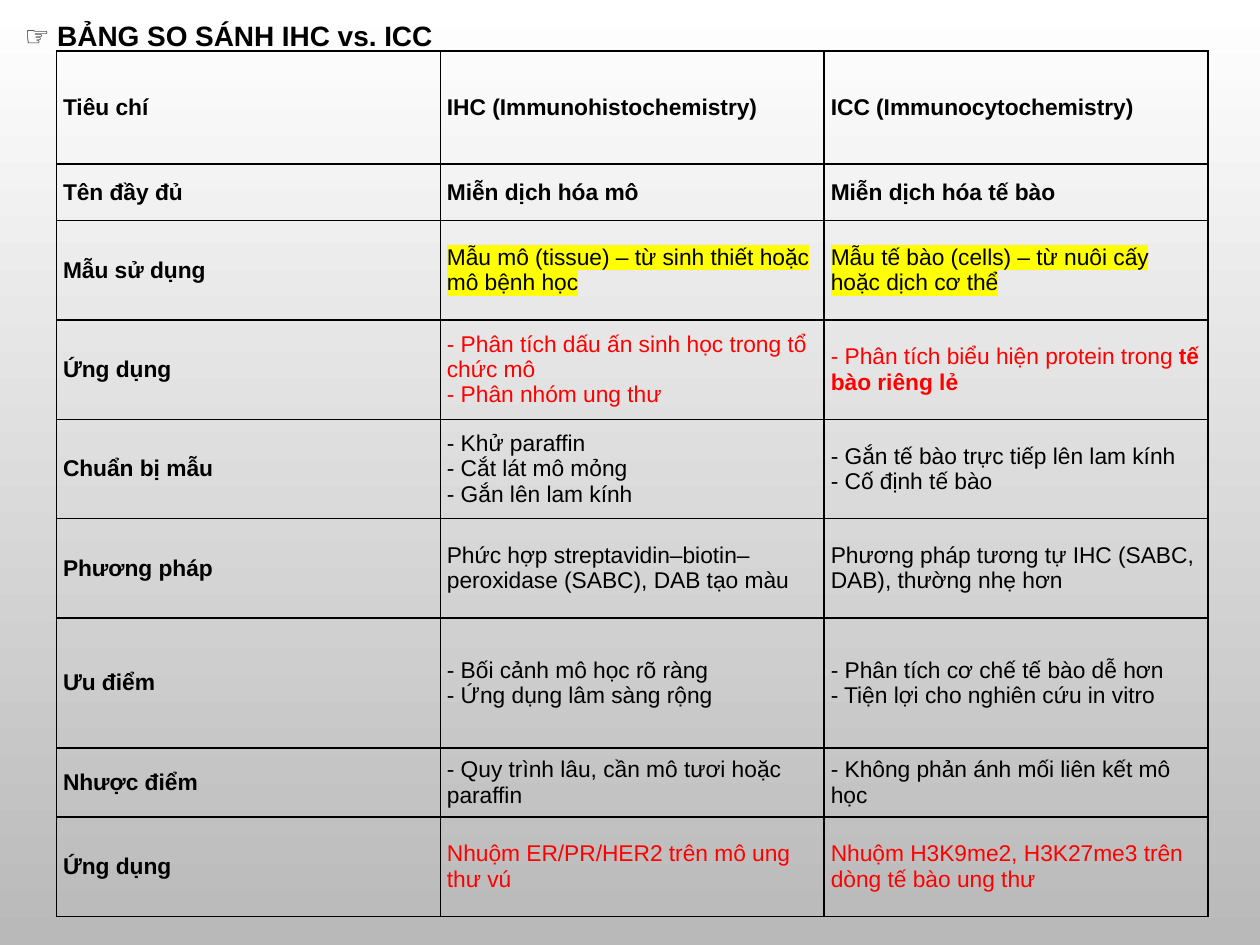
from lxml.etree import SubElement, Element
from pptx import Presentation
from pptx.dml.color import RGBColor as Rgb
from pptx.enum.text import MSO_ANCHOR as Anchor, PP_ALIGN as Align
from pptx.oxml.ns import qn
from pptx.util import Pt

HUES = {"ink": "000000", "red": "FF0000", "mark": "FFFF00",
        "top": "FFFFFF", "base": "B9B9B9"}
FORMS = {
    "page": {"slide_width": Pt(720), "slide_height": Pt(540)},
    "title": {"left": Pt(0), "top": Pt(7.2), "width": Pt(256), "height": Pt(44)},
    "frame": {"margin_left": Pt(14), "margin_right": Pt(0), "margin_top": Pt(3.6),
              "margin_bottom": Pt(3.6), "word_wrap": True,
              "vertical_anchor": Anchor.TOP},
    "cell": {"margin_left": Pt(3.8), "margin_right": Pt(3.8), "margin_top": Pt(2),
             "margin_bottom": Pt(2), "vertical_anchor": Anchor.MIDDLE},
    "grid": {"first_row": False, "horz_banding": False},
}
ROWS = [
    (64.6, "ink", False, ["**Tiêu chí", "**IHC (Immunohistochemistry)",
                          "**ICC (Immunocytochemistry)"]),
    (32.3, "ink", False, ["**Tên đầy đủ", "**Miễn dịch hóa mô",
                          "**Miễn dịch hóa tế bào"]),
    (56.8, "ink", True, ["**Mẫu sử dụng",
                         "Mẫu mô (tissue) – từ sinh thiết hoặc mô bệnh học",
                         "Mẫu tế bào (cells) – từ nuôi cấy hoặc dịch cơ thể"]),
    (56.8, "red", False, ["**Ứng dụng",
                          "- Phân tích dấu ấn sinh học trong tổ chức mô\n- Phân nhóm ung thư",
                          "- Phân tích biểu hiện protein trong **tế bào riêng lẻ"]),
    (56.8, "ink", False, ["**Chuẩn bị mẫu",
                          "- Khử paraffin\n- Cắt lát mô mỏng\n- Gắn lên lam kính",
                          "- Gắn tế bào trực tiếp lên lam kính\n- Cố định tế bào"]),
    (56.8, "ink", False, ["**Phương pháp",
                          "Phức hợp streptavidin–biotin–peroxidase (SABC), DAB tạo màu",
                          "Phương pháp tương tự IHC (SABC, DAB), thường nhẹ hơn"]),
    (74.2, "ink", False, ["**Ưu điểm",
                          "- Bối cảnh mô học rõ ràng\n- Ứng dụng lâm sàng rộng",
                          "- Phân tích cơ chế tế bào dễ hơn\n- Tiện lợi cho nghiên cứu in vitro"]),
    (39.5, "ink", False, ["**Nhược điểm", "- Quy trình lâu, cần mô tươi hoặc paraffin",
                          "- Không phản ánh mối liên kết mô học"]),
    (56.8, "red", False, ["**Ứng dụng", "Nhuộm ER/PR/HER2 trên mô ung thư vú",
                          "Nhuộm H3K9me2, H3K27me3 trên dòng tế bào ung thư"]),
]


def apply(item, form):
    for key, value in form.items():
        setattr(item, key, value)


class Deck:
    def __init__(self):
        self.show = Presentation()
        apply(self.show, FORMS["page"])
        self.slide = self.show.slides.add_slide(self.show.slide_layouts[5])

    def back(self):
        fill = self.slide.background.fill
        fill.gradient()
        fill.gradient_angle = 270
        for stop, spot, hue in zip(fill.gradient_stops, (0, 1), ("top", "base")):
            stop.position = spot
            stop.color.rgb = Rgb.from_string(HUES[hue])

    def run(self, para, text, size, bold, hue="ink", face="Arial", mark=False):
        run = para.add_run()
        run.text = text
        apply(run.font, {"size": Pt(size), "bold": bold, "name": face})
        run.font.color.rgb = Rgb.from_string(HUES[hue])
        if mark:
            glow = Element(qn("a:highlight"))
            SubElement(glow, qn("a:srgbClr"), val=HUES["mark"])
            run.font._element.find(qn("a:solidFill")).addnext(glow)

    def title(self, parts):
        box = self.slide.shapes.title
        apply(box, FORMS["title"])
        apply(box.text_frame, FORMS["frame"])
        para = box.text_frame.paragraphs[0]
        para.alignment = Align.LEFT
        for text, face in parts:
            self.run(para, text, 16, True, face=face)

    def edge(self, cell):
        cell.fill.background()
        props = cell._tc.get_or_add_tcPr()
        for spot, side in enumerate(("lnL", "lnR", "lnT", "lnB")):
            line = Element(qn("a:" + side), w=str(Pt(1)))
            fill = SubElement(line, qn("a:solidFill"))
            SubElement(fill, qn("a:srgbClr"), val=HUES["ink"])
            props.insert(spot, line)

    def cell(self, cell, text, hue, mark):
        apply(cell, FORMS["cell"])
        self.edge(cell)
        para = cell.text_frame.paragraphs[0]
        for row, line in enumerate(text.split("\n")):
            if row:
                para.add_line_break()
            for part, words in enumerate(line.split("**")):
                if words:
                    self.run(para, words, 13, part == 1, hue, mark=mark)

    def table(self, rows, left, top, wide):
        count = len(rows[0][3])
        high = sum(row[0] for row in rows)
        grid = self.slide.shapes.add_table(len(rows), count, Pt(left), Pt(top),
                                           Pt(wide * count), Pt(high)).table
        apply(grid, FORMS["grid"])
        for col in grid.columns:
            col.width = Pt(wide)
        for row, (tall, hue, mark, texts) in zip(grid.rows, rows):
            row.height = Pt(tall)
            for spot, (cell, text) in enumerate(zip(row.cells, texts)):
                self.cell(cell, text, hue if spot else "ink", mark and spot > 0)


def main():
    deck = Deck()
    deck.back()
    deck.table(ROWS, 32.2, 29.2, 219.4)
    deck.title([("☞", "Lato"), (" BẢNG SO SÁNH IHC vs. ICC", "Arial")])
    deck.show.save("out.pptx")


if __name__ == "__main__":
    main()
